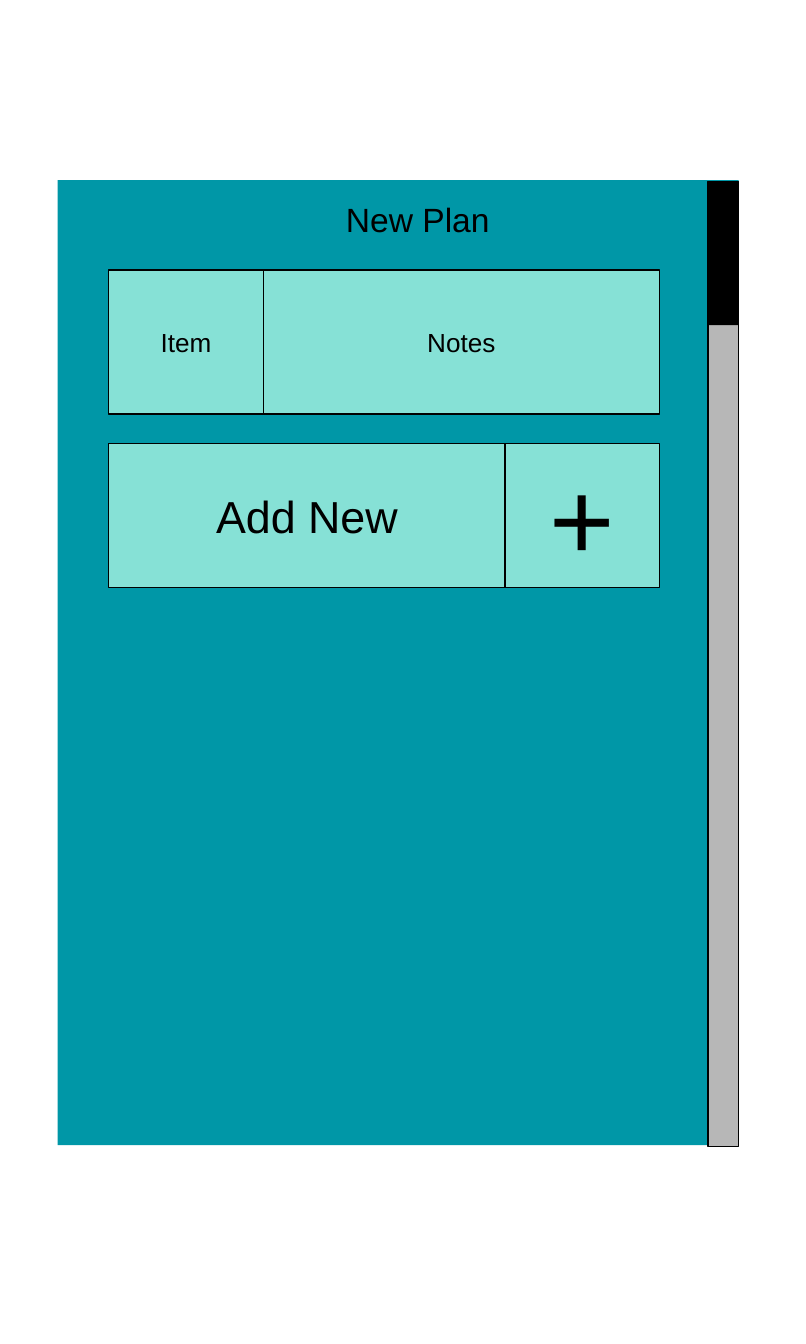
"""Build the New Plan screen with an item row, an add row and a scrollbar."""
from pptx import Presentation
from pptx import util as u
from pptx.dml.color import RGBColor
from pptx.enum import shapes, text

PX = u.Inches(1) // 100
COLORS = {"panel": "0097A7", "cell": "86E1D6", "track": "B7B7B7", "ink": "000000"}


def add_box(left, top, width, height, color, outlined=True):
    box = slide.shapes.add_shape(
        shapes.MSO_SHAPE.RECTANGLE, left * PX, top * PX, width * PX, height * PX)
    box.shadow.inherit = False
    box.fill.solid()
    box.fill.fore_color.rgb = RGBColor.from_string(COLORS[color])
    if outlined:
        box.line.color.rgb = RGBColor.from_string(COLORS["ink"])
        box.line.width = u.Pt(0.75)
    else:
        box.line.fill.background()
    return box


def write(shape, words, size):
    frame = shape.text_frame
    frame.text = words
    frame.word_wrap = True
    frame.auto_size = text.MSO_AUTO_SIZE.NONE
    frame.vertical_anchor = text.MSO_ANCHOR.MIDDLE
    frame.margin_left = frame.margin_right = 10 * PX
    frame.margin_top = frame.margin_bottom = 10 * PX
    line = frame.paragraphs[0]
    line.alignment = text.PP_ALIGN.CENTER
    font = line.runs[0].font
    font.name = "Arial"
    font.size = u.Pt(size)
    font.color.rgb = RGBColor.from_string(COLORS["ink"])


deck = Presentation()
deck.slide_width, deck.slide_height = 600 * PX, 1000 * PX
slide = deck.slides.add_slide(deck.slide_layouts[5])

add_box(43, 134, 507, 718, "panel", outlined=False)

heading = slide.shapes.title
heading.left, heading.top = 229 * PX, 141 * PX
heading.width, heading.height = 164 * PX, 44 * PX
write(heading, "New Plan", 18)
heading.element.getparent().append(heading.element)

NARROW, WIDE, ROW_HEIGHT = 115, 295, 107
rows = [
    (201, [("Item", NARROW, 14), ("Notes", WIDE, 14)]),
    (330, [("Add New", WIDE, 24), ("+", NARROW, 60)]),
]
for top, cells in rows:
    left = 81
    for words, width, size in cells:
        write(add_box(left, top, width, ROW_HEIGHT, "cell"), words, size)
        left += width

add_box(527, 135, 23, 718, "track")
add_box(527, 135, 23, ROW_HEIGHT, "ink", outlined=False)

deck.save("out.pptx")
